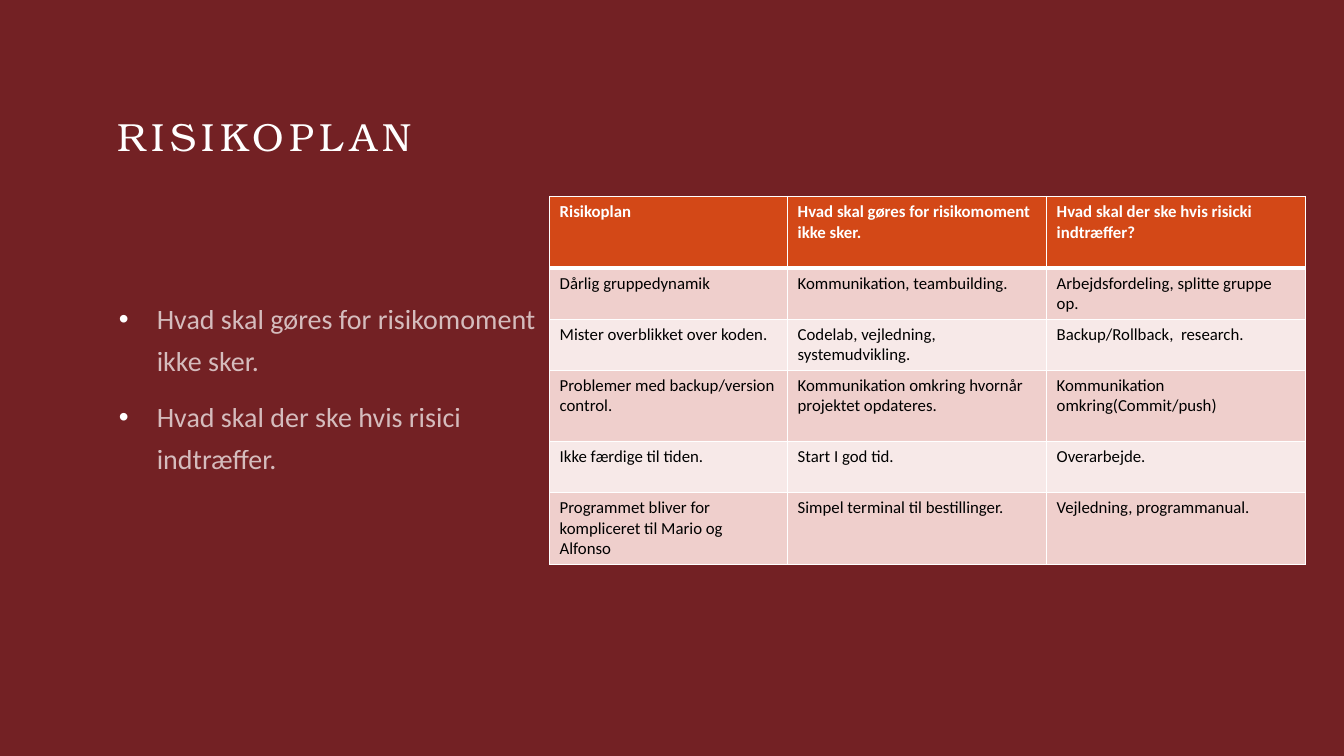
from lxml import etree
from pptx import Presentation
from pptx.dml import color
from pptx.enum import text
from pptx.oxml import ns
from pptx.util import Pt

TITLE = "RISIKOPLAN"
QUESTIONS = [
    "Hvad skal gøres for risikomoment ikke sker.",
    "Hvad skal der ske hvis risici indtræffer.",
]
RISKS = [
    ("Risikoplan", "Hvad skal gøres for risikomoment ikke sker.", "Hvad skal der ske hvis risicki indtræffer?"),
    ("Dårlig gruppedynamik", "Kommunikation, teambuilding.", "Arbejdsfordeling, splitte gruppe op."),
    ("Mister overblikket over koden.", "Codelab, vejledning,  systemudvikling.", "Backup/Rollback,  research."),
    ("Problemer med backup/version control.", "Kommunikation omkring hvornår projektet opdateres.",
     "Kommunikation omkring(Commit/push)"),
    ("Ikke færdige til tiden.", "Start I god tid.", "Overarbejde."),
    ("Programmet bliver for kompliceret til Mario og Alfonso", "Simpel terminal til bestillinger.",
     "Vejledning, programmanual."),
]
COLORS = {
    "background": "732124", "white": "FFFFFF", "black": "000000",
    "header": "D34817", "odd": "EFCFCC", "even": "F7E9E8",
}
COLUMN_WIDTHS = [170, 185, 185]
TALL, SHORT = 51.1, 36.5
ROW_HEIGHTS = [TALL, SHORT, SHORT, TALL, SHORT, TALL]
TABLE_LEFT, TABLE_TOP = 392.6, 140.4
TITLE_FONT = {"name": "TeX Gyre Bonum", "size": Pt(28), "bold": False}
BODY_FONT = {"name": "Calibri", "size": Pt(20), "bold": False}
CELL_FONT = {"name": "Calibri", "size": Pt(12), "bold": False}
HEADER_FONT = {**CELL_FONT, "bold": True}
FRAME = {
    "margin_left": 0, "margin_right": 0, "margin_top": 0, "margin_bottom": 0,
    "word_wrap": True, "vertical_anchor": text.MSO_ANCHOR.TOP,
}


def apply(target, values):
    for name, value in values.items():
        setattr(target, name, value)


def rgb(name):
    return color.RGBColor.from_string(COLORS[name])


def add_node(parent, tag, **attributes):
    return etree.SubElement(parent, ns.qn(tag), attributes)


def add_span(para, words, font, tint):
    span = para.add_run()
    span.text = words
    apply(span.font, font)
    span.font.color.rgb = rgb(tint)
    return span


def add_frame(page, left, top, width, height):
    box = page.shapes.add_textbox(Pt(left), Pt(top), Pt(width), Pt(height))
    apply(box.text_frame, FRAME)
    return box.text_frame


def add_title(page):
    frame = add_frame(page, 84.2, 79.9, 307.4, 101.5)
    span = add_span(frame.paragraphs[0], TITLE, TITLE_FONT, "white")
    span.font._element.set("spc", "400")


def add_questions(page):
    frame = add_frame(page, 85, 209.5, 307.4, 244.8)
    for index, question in enumerate(QUESTIONS):
        para = frame.add_paragraph() if index else frame.paragraphs[0]
        apply(para, {"line_spacing": 1.25, "space_before": Pt(10)})
        layout = para._p.get_or_add_pPr()
        layout.set("marL", str(Pt(27)))
        layout.set("indent", str(-Pt(27)))
        bullet_color = add_node(layout, "a:buClr")
        add_node(bullet_color, "a:srgbClr", val=COLORS["white"])
        add_node(layout, "a:buFont", typeface="Arial")
        add_node(layout, "a:buChar", char="•")
        span = add_span(para, question, BODY_FONT, "white")
        tint = span.font._element.find(".//" + ns.qn("a:srgbClr"))
        add_node(tint, "a:alpha", val="70000")


def add_borders(cell, widths):
    properties = cell._tc.get_or_add_tcPr()
    for position, (side, width) in enumerate(widths.items()):
        line = etree.Element(ns.qn("a:" + side), w=str(Pt(width)))
        fill = add_node(line, "a:solidFill")
        add_node(fill, "a:srgbClr", val=COLORS["white"])
        properties.insert(position, line)


def add_risk_table(page):
    table = page.shapes.add_table(
        len(RISKS), len(COLUMN_WIDTHS), Pt(TABLE_LEFT), Pt(TABLE_TOP),
        Pt(sum(COLUMN_WIDTHS)), Pt(sum(ROW_HEIGHTS)),
    ).table
    for column, width in zip(table.columns, COLUMN_WIDTHS):
        column.width = Pt(width)
    for number, (row, height, risks) in enumerate(zip(table.rows, ROW_HEIGHTS, RISKS)):
        row.height = Pt(height)
        band = "header" if number == 0 else "odd" if number % 2 else "even"
        font, tint = (CELL_FONT, "black") if number else (HEADER_FONT, "white")
        widths = {"lnL": 1, "lnR": 1, "lnT": 3 if number == 1 else 1, "lnB": 1 if number else 3}
        for cell, words in zip(row.cells, risks):
            cell.fill.solid()
            cell.fill.fore_color.rgb = rgb(band)
            add_span(cell.text_frame.paragraphs[0], words, font, tint)
            add_borders(cell, widths)


def main():
    deck = Presentation()
    apply(deck, {"slide_width": Pt(960), "slide_height": Pt(540)})
    page = deck.slides.add_slide(deck.slide_layouts[6])
    page.background.fill.solid()
    page.background.fill.fore_color.rgb = rgb("background")
    add_title(page)
    add_questions(page)
    add_risk_table(page)
    deck.save("out.pptx")


if __name__ == "__main__":
    main()
